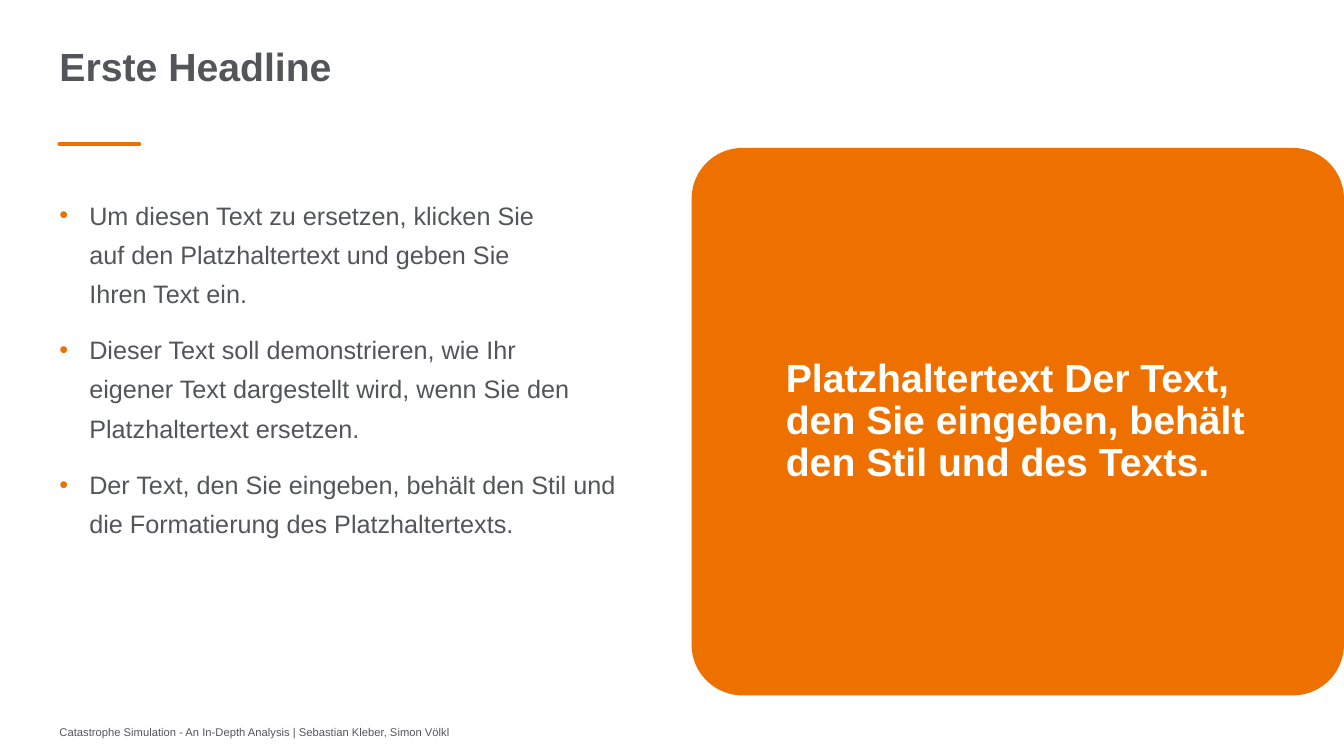
from dataclasses import dataclass

from lxml.etree import SubElement
from pptx import Presentation
from pptx.dml.color import RGBColor
from pptx.enum.shapes import MSO_CONNECTOR, MSO_SHAPE
from pptx.enum.text import MSO_ANCHOR, MSO_AUTO_SIZE, PP_ALIGN
from pptx.oxml.ns import qn
from pptx.shapes.autoshape import Shape
from pptx.slide import Slide
from pptx.text.text import _Paragraph as Paragraph
from pptx.util import Pt

ORANGE = "EE7100"
GREY = "53555A"
WHITE = "FFFFFF"
LEFT = 42.5
BULLET_INDENT = 21.3


@dataclass(frozen=True)
class Area:
    left: float
    top: float
    width: float
    height: float


TITLE = Area(LEFT, 33.8, 651, 28)
BULLETS = Area(LEFT, 136.3, 425.5, 326)
PANEL = Area(494, 105.7, 466, 391)
FOOTER = Area(LEFT, 511.5, 595.5, 22.3)

BULLET_TEXTS = [
    """Um diesen Text zu ersetzen, klicken Sie 
auf den Platzhaltertext und geben Sie 
Ihren Text ein.""",
    """Dieser Text soll demonstrieren, wie Ihr 
eigener Text dargestellt wird, wenn Sie den Platzhaltertext ersetzen.""",
    """Der Text, den Sie eingeben, behält den Stil und 
die Formatierung des Platzhaltertexts.""",
]


def colour(value: str) -> RGBColor:
    return RGBColor.from_string(value)


def lengths(area: Area) -> list[Pt]:
    return [Pt(value) for value in (area.left, area.top, area.width, area.height)]


def add_bullet(para: Paragraph) -> None:
    properties = para._p.get_or_add_pPr()
    properties.set("marL", str(Pt(BULLET_INDENT)))
    properties.set("indent", str(-Pt(BULLET_INDENT)))
    bullet_colour = SubElement(properties, qn("a:buClr"))
    SubElement(bullet_colour, qn("a:srgbClr"), val=ORANGE)
    SubElement(properties, qn("a:buFont"), typeface="Arial")
    SubElement(properties, qn("a:buChar"), char="•")


def write(box: Shape, texts: list[str], *, size: float, ink: str = GREY,
          bold: bool = False, spacing: float = 1, after: float = 0,
          anchor: MSO_ANCHOR = MSO_ANCHOR.TOP, side: float = 0,
          vertical: float = 0, bullets: bool = False) -> None:
    frame = box.text_frame
    frame.word_wrap = True
    frame.auto_size = MSO_AUTO_SIZE.NONE
    frame.vertical_anchor = anchor
    frame.margin_left = frame.margin_right = Pt(side)
    frame.margin_top = frame.margin_bottom = Pt(vertical)
    for index, text in enumerate(texts):
        para = frame.add_paragraph() if index else frame.paragraphs[0]
        para.text = text
        para.alignment = PP_ALIGN.LEFT
        para.line_spacing = spacing
        para.space_before = Pt(0)
        para.space_after = Pt(after)
        if bullets:
            add_bullet(para)
        for span in para.runs:
            span.font.name = "Arial"
            span.font.size = Pt(size)
            span.font.bold = bold
            span.font.color.rgb = colour(ink)


def add_title(page: Slide) -> None:
    title = page.shapes.title
    title.left, title.top, title.width, title.height = lengths(TITLE)
    write(title, ["Erste Headline"], size=28, bold=True, spacing=0.9)


def add_accent(page: Slide) -> None:
    accent = page.shapes.add_connector(
        MSO_CONNECTOR.STRAIGHT, Pt(LEFT), Pt(103), Pt(99.4), Pt(103))
    accent.line.color.rgb = colour(ORANGE)
    accent.line.width = Pt(3)
    properties = accent._element.spPr
    properties.find(qn("a:ln")).set("cap", "rnd")
    SubElement(properties, qn("a:effectLst"))


def add_bullets(page: Slide) -> None:
    left, top, width, height = lengths(BULLETS)
    right, bottom = left + width, top + height
    outline = page.shapes.build_freeform(left, top)
    outline.add_line_segments([(right, top), (right, bottom), (left, bottom)])
    body = outline.convert_to_shape()
    body.shadow.inherit = False
    body.fill.background()
    body.line.fill.background()
    write(body, BULLET_TEXTS, size=18, spacing=1.3, after=12, bullets=True)


def add_panel(page: Slide) -> None:
    panel = page.shapes.add_shape(MSO_SHAPE.ROUNDED_RECTANGLE, *lengths(PANEL))
    panel.adjustments[0] = 0.093
    panel.shadow.inherit = False
    panel.fill.solid()
    panel.fill.fore_color.rgb = colour(ORANGE)
    panel.line.fill.background()
    write(panel,
          ["Platzhaltertext Der Text, den Sie eingeben, behält den Stil und des Texts."],
          size=28, ink=WHITE, bold=True, spacing=0.9, after=12,
          anchor=MSO_ANCHOR.MIDDLE, side=56.7, vertical=28)


def main() -> None:
    deck = Presentation()
    deck.slide_width, deck.slide_height = Pt(960), Pt(540)
    page = deck.slides.add_slide(deck.slide_layouts.get_by_name("Title Only"))
    add_title(page)
    add_accent(page)
    add_bullets(page)
    add_panel(page)
    write(page.shapes.add_textbox(*lengths(FOOTER)),
          ["Catastrophe Simulation - An In-Depth Analysis | Sebastian Kleber, Simon Völkl"],
          size=8, anchor=MSO_ANCHOR.MIDDLE)
    deck.save("out.pptx")


if __name__ == "__main__":
    main()
